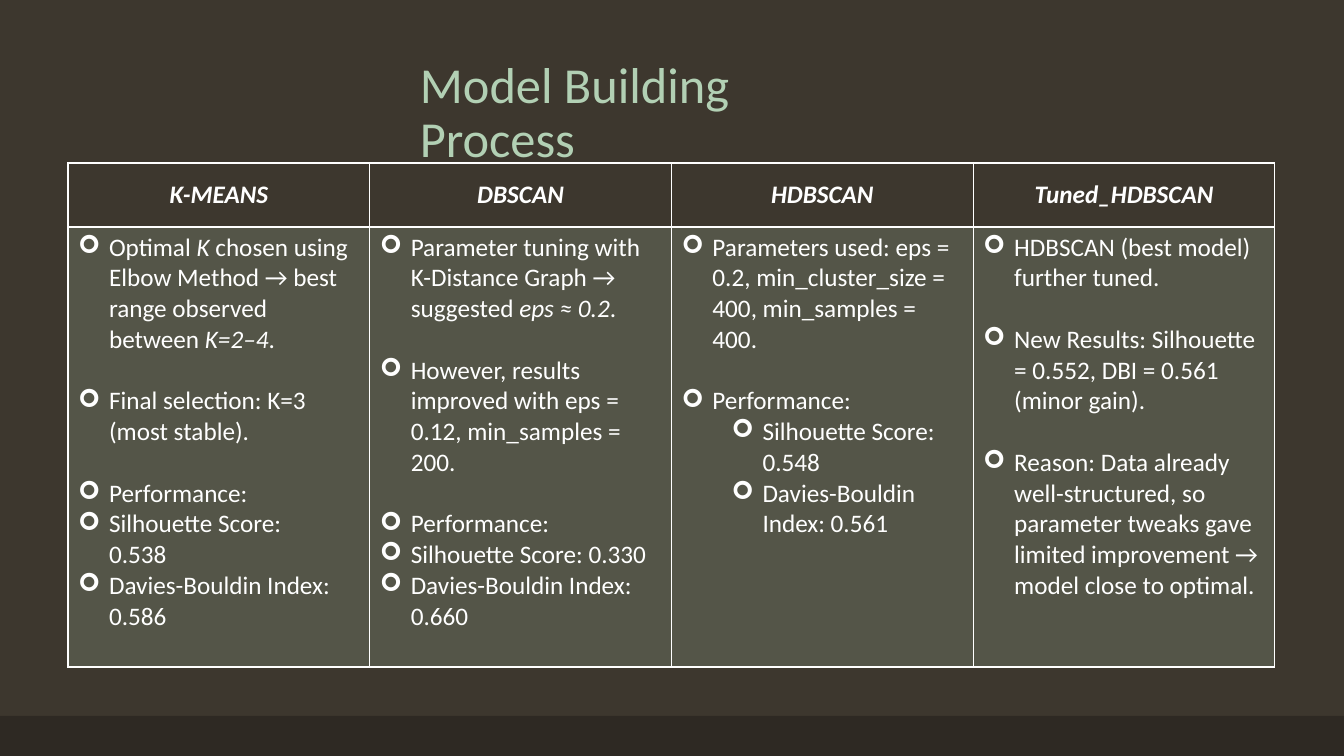
from lxml.etree import SubElement
from pptx import Presentation
from pptx.dml.color import RGBColor
from pptx.enum.shapes import MSO_SHAPE as Shape
from pptx.enum.text import MSO_ANCHOR as Anchor, PP_ALIGN as Align
from pptx.oxml import parse_xml
from pptx.oxml.ns import nsdecls, qn
from pptx.util import Emu, Pt

BROWN = RGBColor(0x3D, 0x37, 0x2E)
DARK = RGBColor(0x2E, 0x29, 0x23)
GREEN = RGBColor(0xB2, 0xD0, 0xB4)
WHITE = RGBColor(0xFF, 0xFF, 0xFF)

WIDE, HIGH = 1344, 756
LINE = 22  # points of space that set off a new group of bullets

# Each model: name, then bullets as (text, starts a group, level).
# Asterisks enclose italics; a newline breaks the line.
MODELS = [
    ("K-MEANS", [
        ("Optimal *K* chosen using Elbow Method → best range observed "
         "between *K=2–4*.", False, 0),
        ("Final selection: K=3 (most stable).", True, 0),
        ("Performance:", True, 0),
        ("Silhouette Score:\n0.538", False, 0),
        ("Davies-Bouldin Index: 0.586", False, 0)]),
    ("DBSCAN", [
        ("Parameter tuning with K-Distance Graph → suggested *eps ≈ 0.2*.",
         False, 0),
        ("However, results improved with eps = 0.12, min_samples = 200.",
         True, 0),
        ("Performance:", True, 0),
        ("Silhouette Score: 0.330", False, 0),
        ("Davies-Bouldin Index: 0.660", False, 0)]),
    ("HDBSCAN", [
        ("Parameters used: eps = 0.2, min_cluster_size = 400, "
         "min_samples = 400.", False, 0),
        ("Performance:", True, 0),
        ("Silhouette Score: 0.548", False, 1),
        ("Davies-Bouldin Index: 0.561", False, 1)]),
    ("Tuned_HDBSCAN", [
        ("HDBSCAN (best model) further tuned.", False, 0),
        ("New Results: Silhouette = 0.552, DBI = 0.561 (minor gain).",
         True, 0),
        ("Reason: Data already well-structured, so parameter tweaks gave "
         "limited improvement → model close to optimal.", True, 0)]),
]


def px(num):
    return Emu(round(num * 914400 / 100.8))


def write(para, text, size=18, color=WHITE, bold=False, slant=False,
          align=Align.LEFT):
    para.alignment = align
    for i, part in enumerate(text.split("*")):
        for j, line in enumerate(part.split("\n")):
            if j:
                para.add_line_break()
            run = para.add_run()
            run.text = line
            font = run.font
            font.name, font.size = "Calibri", Pt(size)
            font.bold, font.italic = bold, slant or i % 2 == 1
            font.color.rgb = color


def bullet(para, level):
    para.level = level
    props = para._p.get_or_add_pPr()
    props.set("marL", str(px(31 + 50 * level)))
    props.set("indent", str(-px(31)))
    SubElement(props, qn("a:buFont"), typeface="Wingdings")
    SubElement(props, qn("a:buChar"), char="➢")


def border(cell):
    props = cell._tc.get_or_add_tcPr()
    for i, side in enumerate(("lnL", "lnR", "lnT", "lnB")):
        props.insert(i, parse_xml(
            f'<a:{side} {nsdecls("a")} w="{Pt(1)}"><a:solidFill>'
            f'<a:srgbClr val="{WHITE}"/></a:solidFill></a:{side}>'))


def tint(cell, color, alpha):
    cell.fill.solid()
    cell.fill.fore_color.rgb = color
    tone = cell._tc.tcPr.find(".//" + qn("a:srgbClr"))
    SubElement(tone, qn("a:alpha"), val=str(alpha * 1000))


def head(cell, name):
    cell.fill.background()
    cell.vertical_anchor = Anchor.MIDDLE
    write(cell.text_frame.paragraphs[0], name, bold=True, slant=True,
          align=Align.CENTER)
    border(cell)


def body(cell, items):
    tint(cell, GREEN, 20)
    frame = cell.text_frame
    for i, (text, group, level) in enumerate(items):
        para = frame.add_paragraph() if i else frame.paragraphs[0]
        if group:
            para.space_before = Pt(LINE)
        bullet(para, level)
        write(para, text)
    border(cell)


def footer(slide):
    bar = slide.shapes.add_shape(Shape.RECTANGLE, 0, px(716), px(WIDE),
                                 px(HIGH - 716))
    bar.shadow.inherit = False
    bar.fill.solid()
    bar.fill.fore_color.rgb = DARK
    bar.line.fill.background()


def title(slide, text):
    box = slide.shapes.add_textbox(px(410), px(55), px(490), px(71))
    box.text_frame.word_wrap = True
    para = box.text_frame.paragraphs[0]
    para.line_spacing = 0.9
    write(para, text, size=36, color=GREEN)


def grid(slide):
    count = len(MODELS)
    table = slide.shapes.add_table(2, count, px(68), px(163), px(1207),
                                   px(504)).table
    table.first_row = table.horz_banding = False
    table.rows[0].height, table.rows[1].height = px(64), px(440)
    for i, (name, items) in enumerate(MODELS):
        head(table.cell(0, i), name)
        body(table.cell(1, i), items)


def main():
    deck = Presentation()
    deck.slide_width, deck.slide_height = px(WIDE), px(HIGH)
    slide = deck.slides.add_slide(deck.slide_layouts[6])
    slide.background.fill.solid()
    slide.background.fill.fore_color.rgb = BROWN

    # Backdrop, heading and comparison of the models
    footer(slide)
    title(slide, "Model Building Process")
    grid(slide)
    deck.save("out.pptx")


if __name__ == "__main__":
    main()
